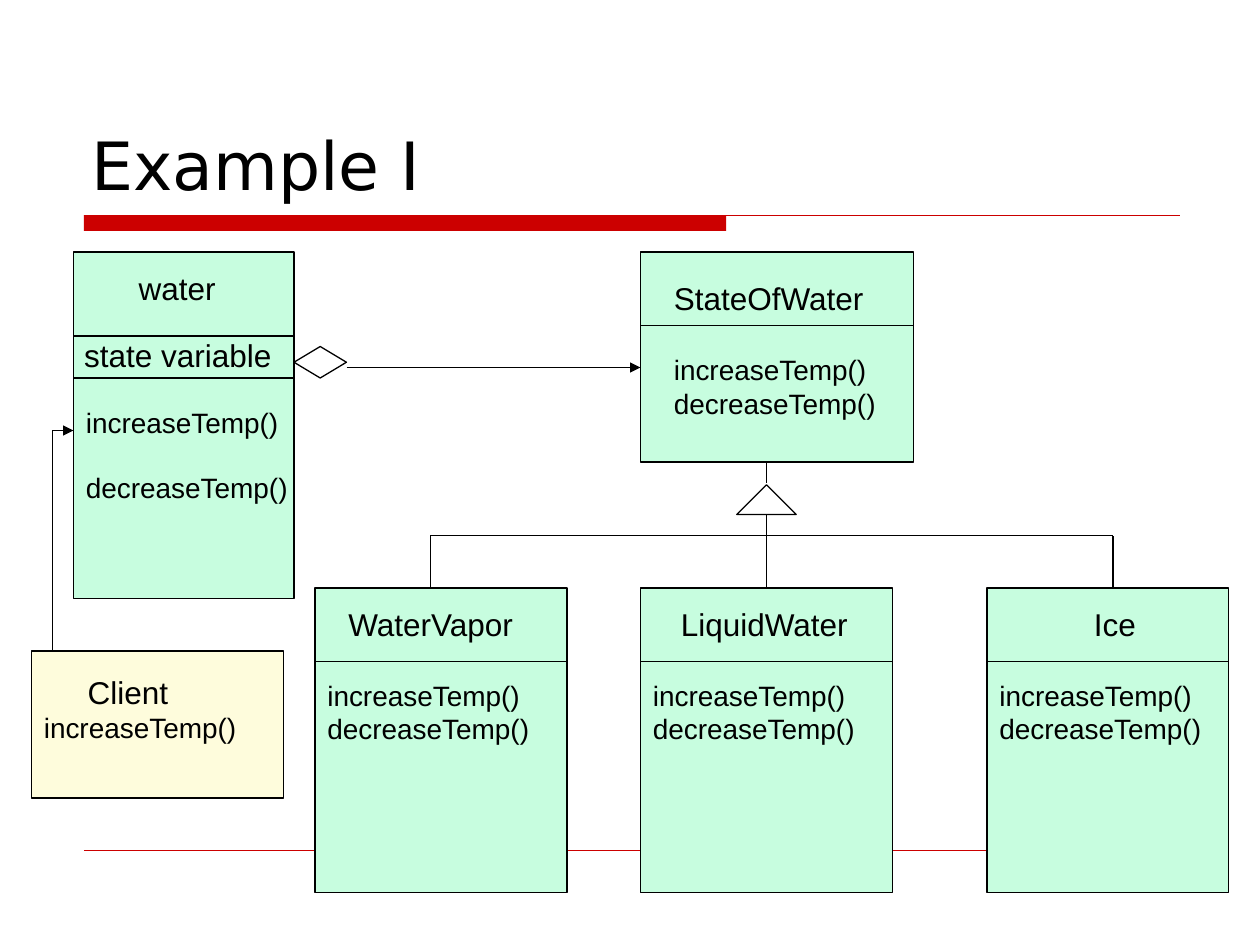
"""Build a class diagram slide of the state pattern for water."""
from lxml import etree
from pptx import Presentation
from pptx import util as u
from pptx.dml.color import RGBColor
from pptx.enum import shapes, text
from pptx.oxml import ns

Kind = shapes.MSO_SHAPE
INK, RED, MINT, CREAM = "000000", "CC0000", "C7FDDF", "FEFCDC"
CALLS = ["increaseTemp()", "decreaseTemp()"]


def tint(code):
    return RGBColor.from_string(code)


class Board:
    def __init__(self, slide):
        self.slide = slide
        self.font = "Arial"
        self.width = 0.75

    def style(self, para, size, font=None):
        para.font.name = font or self.font
        para.font.size = u.Pt(size)
        para.font.color.rgb = tint(INK)

    def title(self, words, x, y, w, h):
        item = self.slide.shapes.title
        item.left, item.top, item.width, item.height = map(u.Pt, (x, y, w, h))
        frame = item.text_frame
        frame.text = words
        frame.auto_size = text.MSO_AUTO_SIZE.NONE
        frame.vertical_anchor = text.MSO_ANCHOR.BOTTOM
        para = frame.paragraphs[0]
        para.alignment = text.PP_ALIGN.LEFT
        self.style(para, 38, "DejaVu Sans")

    def shape(self, x, y, w, h, fill=None, kind=Kind.RECTANGLE, line=INK, turn=0):
        item = self.slide.shapes.add_shape(kind, *map(u.Pt, (x, y, w, h)))
        item.shadow.inherit = False
        item.rotation = turn
        if fill:
            item.fill.solid()
            item.fill.fore_color.rgb = tint(fill)
        else:
            item.fill.background()
        if line:
            item.line.color.rgb = tint(line)
            item.line.width = u.Pt(self.width)
        else:
            item.line.fill.background()

    def line(self, x1, y1, x2, y2, color=INK, width=None, arrow=False):
        item = self.slide.shapes.add_connector(
            shapes.MSO_CONNECTOR.STRAIGHT, *map(u.Pt, (x1, y1, x2, y2)))
        item.line.color.rgb = tint(color)
        item.line.width = u.Pt(width or self.width)
        props = item._element.spPr
        if arrow:
            etree.SubElement(props.find(ns.qn("a:ln")), ns.qn("a:tailEnd"), type="triangle")
        etree.SubElement(props, ns.qn("a:effectLst"))

    def text(self, rows, x, y, w, sizes, center=False, gap=0, indent=0):
        h = 7.2 + 1.15 * sum(sizes)
        item = self.slide.shapes.add_textbox(*map(u.Pt, (x, y, w, h)))
        frame = item.text_frame
        frame.text = "\n".join(rows)
        frame.word_wrap = True
        for para, size in zip(frame.paragraphs, sizes):
            self.style(para, size)
            if center:
                para.alignment = text.PP_ALIGN.CENTER
        if gap:
            frame.paragraphs[-1].space_before = u.Pt(gap)
        if indent:
            frame.paragraphs[0]._p.get_or_add_pPr().set("marL", str(u.Pt(indent)))

    def name(self, word, x, y, w, center=False):
        self.text([word], x, y, w, [18], center)

    def calls(self, x, y, gap=0):
        self.text(CALLS, x, y, 138, [16, 16], gap=gap)


def main():
    deck = Presentation()
    deck.slide_width, deck.slide_height = u.Pt(720), u.Pt(540)
    board = Board(deck.slides.add_slide(deck.slide_layouts[5]))

    board.shape(48, 123, 367, 9, RED, line=None)
    board.line(48, 123, 674.5, 123, RED)
    board.line(48, 486, 672, 486, RED, 0.25)
    board.title("Example I", 45, 24, 630, 96)

    board.shape(42, 144, 126, 198, MINT)
    for y in (192, 216):
        board.line(42, y, 168, y)
    board.name("water", 30, 150, 142.5, True)
    board.name("state variable", 41, 188.5, 126)
    board.calls(42, 228, 18.4)

    board.shape(366, 144, 156, 120, MINT)
    board.line(366, 186, 522, 186)
    board.name("StateOfWater", 378, 156, 135)
    board.calls(378, 198)

    states = [("WaterVapor", 180, 144, 192, 246),
              ("LiquidWater", 366, 144, 382, 438),
              ("Ice", 564, 138, 618, 636)]
    for word, x, w, left, mid in states:
        board.shape(x, 336, w, 174, MINT)
        board.line(x, 378, x + w, 378)
        board.name(word, left, 342, x + w - left)
        board.calls(x, 384)
        board.line(mid, 336, mid, 294 if mid == 438 else 306)
    board.line(246, 306, 636, 306)
    board.shape(426, 282, 24, 24, kind=Kind.RIGHT_TRIANGLE, turn=135)
    board.line(438, 276, 438, 264)

    board.shape(168, 198, 30, 18, kind=Kind.DIAMOND)
    board.line(198, 210, 366, 210, arrow=True)

    board.shape(18, 372, 144, 84, CREAM)
    board.text(["Client", CALLS[0]], 18, 381, 139, [18, 16], indent=25)
    board.line(30, 372, 30, 246)
    board.line(30, 246, 42, 246, arrow=True)

    deck.save("out.pptx")


if __name__ == "__main__":
    main()
